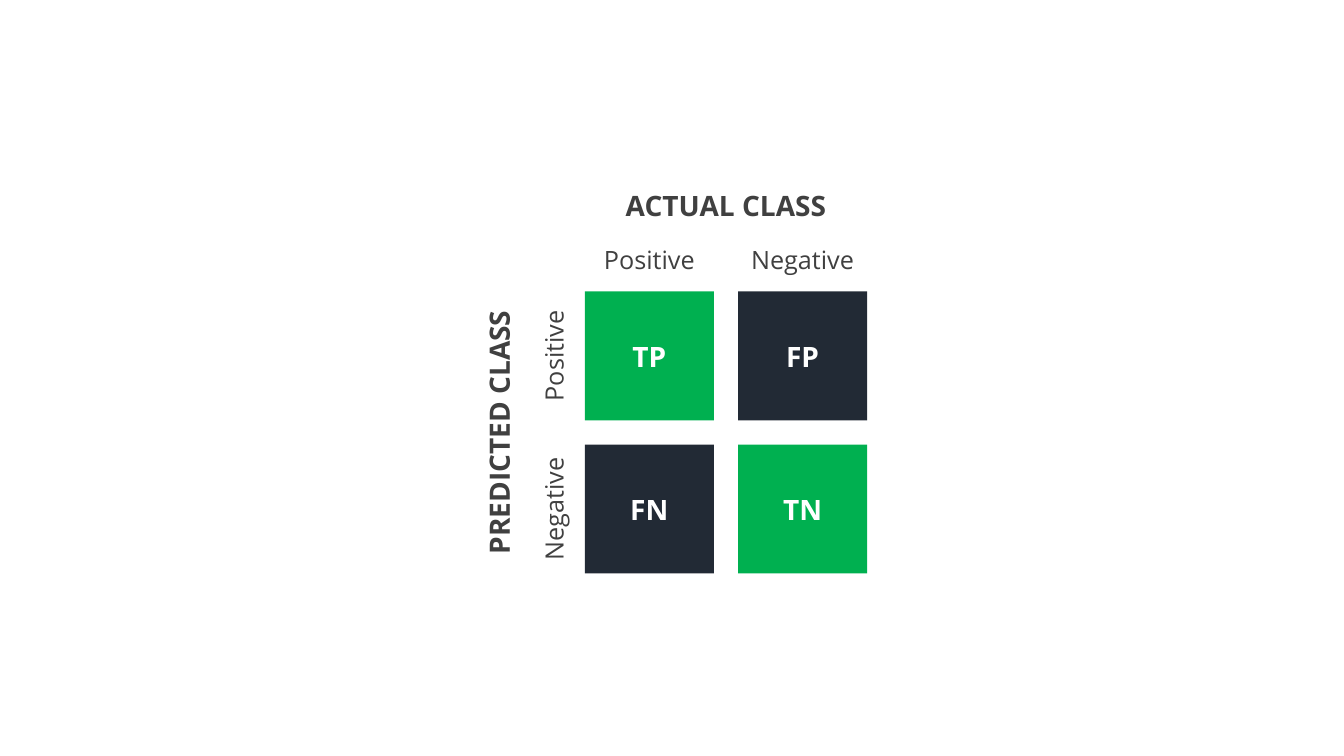
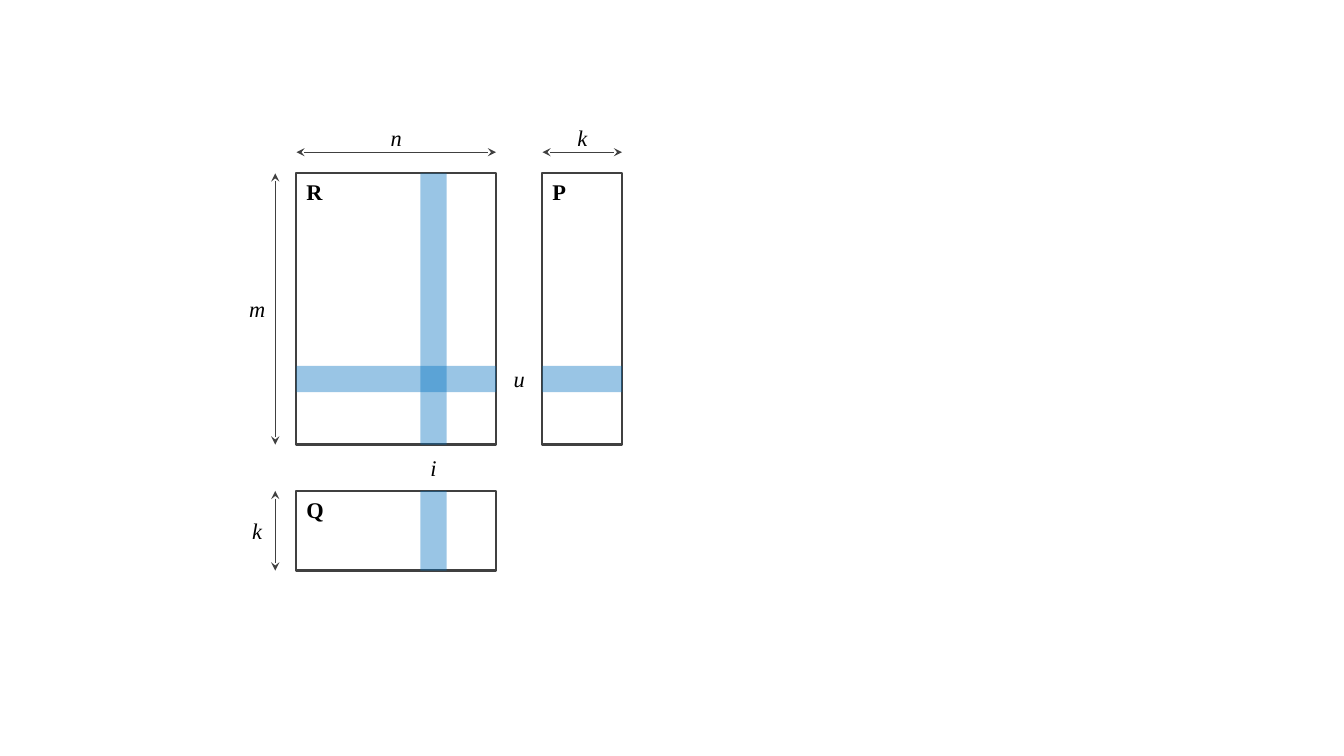
from lxml import etree
from pptx import Presentation
from pptx.dml.color import RGBColor
from pptx.enum import shapes, text
from pptx.oxml.ns import qn
from pptx.util import Inches, Pt

COLORS = {"correct": "00B050", "wrong": "222A35", "gray": "404040",
          "white": "FFFFFF", "black": "000000", "band": "0070C0"}
HEADING = {"name": "Open Sans", "size": Pt(20), "bold": True, "color": "gray"}
CLASS = {"name": "Open Sans", "size": Pt(18), "color": "gray"}
CELL = {**HEADING, "color": "white"}
MATRIX = {"name": "Times New Roman", "size": Pt(16), "bold": True, "color": "black"}
INDEX = {"name": "Times New Roman", "size": Pt(16), "italic": True, "color": "black"}


def write(sp, words, style, align=text.PP_ALIGN.CENTER):
    """Fill a shape with one run of styled text."""
    tf = sp.text_frame
    tf.word_wrap = True
    p = tf.paragraphs[0]
    p.alignment = align
    r = p.add_run()
    r.text = words
    for name, value in style.items():
        if name == "color":
            r.font.color.rgb = RGBColor.from_string(COLORS[value])
        else:
            setattr(r.font, name, value)


def add_rect(parent, box, fill=None, alpha=None):
    """Add a filled rectangle, or an outlined one when fill is None."""
    sp = parent.add_shape(shapes.MSO_SHAPE.RECTANGLE, *map(Inches, box))
    sp.shadow.inherit = False
    if fill is None:
        sp.fill.background()
        sp.line.color.rgb = RGBColor.from_string(COLORS["gray"])
        sp.line.width = Pt(1.5)
        return sp
    sp.fill.solid()
    sp.fill.fore_color.rgb = RGBColor.from_string(COLORS[fill])
    sp.line.fill.background()
    if alpha:
        color = sp.element.spPr.find(qn("a:solidFill"))[0]
        etree.SubElement(color, qn("a:alpha"), val=str(alpha * 1000))
    return sp


prs = Presentation()
prs.slide_width, prs.slide_height = Inches(13.33), Inches(7.5)
blank = prs.slide_layouts[6]

# Confusion matrix
s = prs.slides.add_slide(blank)
group = s.shapes.add_group_shape().shapes
left, top, side, pitch = 5.8, 2.89, 1.28, 1.52
span = side + pitch
for row, names in enumerate((("TP", "FP"), ("FN", "TN"))):
    for col, name in enumerate(names):
        box = (left + col * pitch, top + row * pitch, side, side)
        sp = add_rect(group, box, "correct" if row == col else "wrong")
        sp.text_frame.vertical_anchor = text.MSO_ANCHOR.MIDDLE
        write(sp, name, CELL)

# Each label is placed by its centre: words, centre x, centre y, width, height, rotation, style
labels = [("ACTUAL CLASS", left + span / 2, 2.04, span, 0.44, 0, HEADING),
          ("PREDICTED CLASS", 4.95, top + span / 2, span, 0.44, 270, HEADING)]
for i, name in enumerate(("Positive", "Negative")):
    offset = side / 2 + i * pitch
    labels += [(name, left + offset, 2.57, side, 0.4, 0, CLASS),
               (name, 5.49, top + offset, side, 0.4, 270, CLASS)]
for words, x, y, width, height, rotation, style in labels:
    sp = group.add_textbox(*map(Inches, (x - width / 2, y - height / 2, width, height)))
    sp.rotation = rotation
    write(sp, words, style)

# Matrix factorization
s = prs.slides.add_slide(blank)
left, top, n, m, k = 2.94, 1.72, 1.98, 2.69, 0.79
p_left, q_top = 5.38, 4.87
arrow_x, arrow_y = 2.73, 1.51
user_y, item_x, band = 3.63, 4.17, 0.26
label_w, label_h = 0.47, 0.37

for name, x, y, width, height in (("R", left, top, n, m),
                                  ("P", p_left, top, k, m),
                                  ("Q", left, q_top, n, k)):
    add_rect(s.shapes, (x, y, width, height))
    sp = s.shapes.add_textbox(*map(Inches, (x, y, label_w, label_h)))
    write(sp, name, MATRIX, text.PP_ALIGN.LEFT)
    if y == top:
        add_rect(s.shapes, (x, user_y, width, band), "band", 40)
    if x == left:
        add_rect(s.shapes, (item_x, y, band, height), "band", 40)

for ends in ((left, arrow_y, left + n, arrow_y),
             (p_left, arrow_y, p_left + k, arrow_y),
             (arrow_x, top, arrow_x, top + m),
             (arrow_x, q_top, arrow_x, q_top + k)):
    arrow = s.shapes.add_connector(shapes.MSO_CONNECTOR.STRAIGHT, *map(Inches, ends))
    arrow.line.color.rgb = RGBColor.from_string(COLORS["gray"])
    arrow.line.width = Pt(0.5)
    spPr = arrow.element.spPr
    for end in ("a:headEnd", "a:tailEnd"):
        etree.SubElement(spPr.find(qn("a:ln")), qn(end), type="stealth")
    etree.SubElement(spPr, qn("a:effectLst"))

for name, x, y in (("n", left + n / 2, 1.37),
                   ("k", p_left + k / 2, 1.37),
                   ("m", 2.55, top + m / 2),
                   ("k", 2.55, q_top + k / 2),
                   ("u", (left + n + p_left) / 2, user_y + band / 2),
                   ("i", item_x + band / 2, (top + m + q_top) / 2)):
    box = (x - label_w / 2, y - label_h / 2, label_w, label_h)
    write(s.shapes.add_textbox(*map(Inches, box)), name, INDEX)

prs.save("out.pptx")
